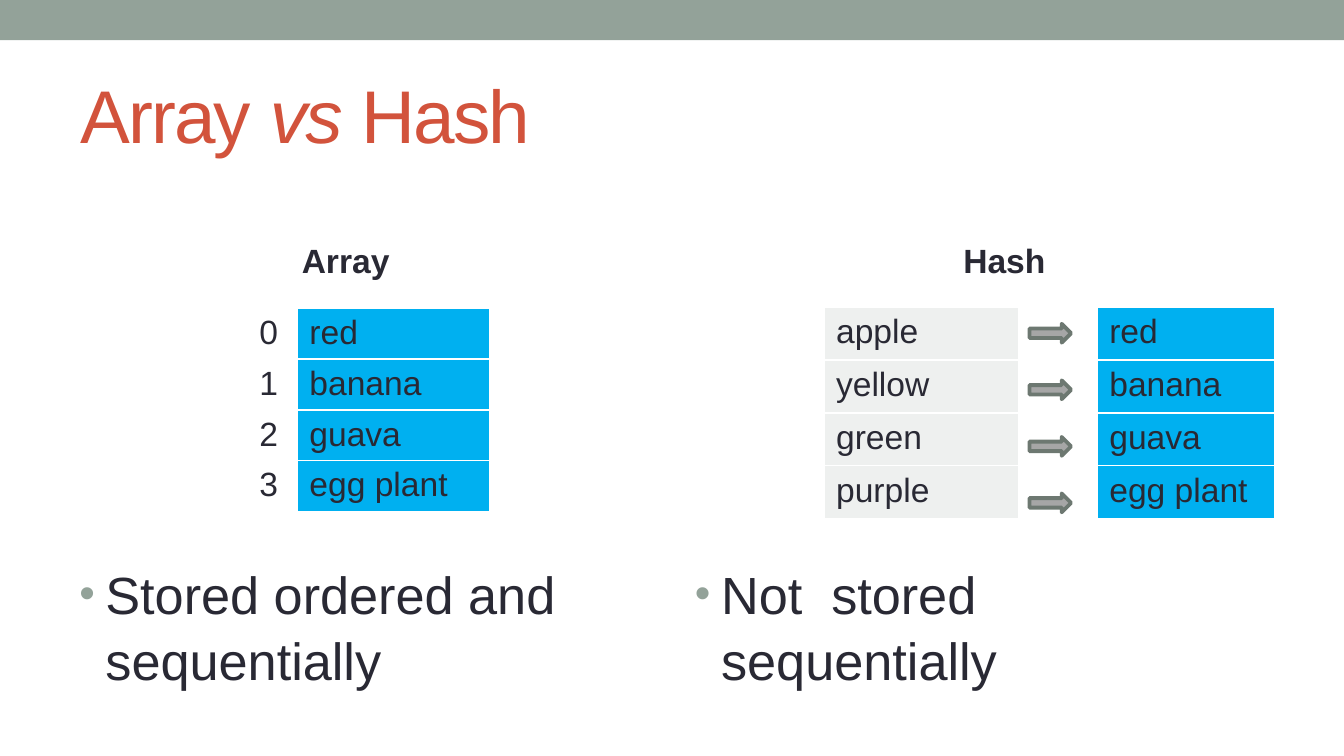
"""Build the slide comparing an array with a hash."""
from lxml import etree
from pptx import Presentation
from pptx.dml.color import RGBColor
from pptx.enum.shapes import MSO_SHAPE
from pptx.enum.text import MSO_ANCHOR, MSO_AUTO_SIZE, PP_ALIGN
from pptx.oxml.ns import qn
from pptx.util import Pt

RECTANGLE, RIGHT_ARROW = MSO_SHAPE.RECTANGLE, MSO_SHAPE.RIGHT_ARROW
MIDDLE, TOP = MSO_ANCHOR.MIDDLE, MSO_ANCHOR.TOP
LEFT = PP_ALIGN.LEFT
NO_FIT = MSO_AUTO_SIZE.NONE

COLORS = {
    "band": "93A299", "title": "D2533C", "text": "292934", "value": "00B0F0",
    "key": "EEF0EF", "arrow": "A6A6A6", "arrow_line": "6D7871", "border": "FFFFFF",
}
FONT = "Arial"
TITLE = [("Array ", False), ("vs", True), (" Hash", False)]
HEADINGS = "Array\tHash"
HEADING_TAB = 354.4
VALUES = ["red", "banana", "guava", "egg plant"]
KEYS = ["apple", "yellow", "green", "purple"]
TABLES = [
    {"at": (441.4, 164.4), "widths": (104.4, 42, 95.4), "fills": ("key", None, "value"),
     "rows": [(key, "", value) for key, value in zip(KEYS, VALUES)]},
    {"at": (132.5, 165.2), "widths": (26.8, 103), "fills": (None, "value"),
     "rows": [(str(index), value) for index, value in enumerate(VALUES)]},
]
ROW_HEIGHT = 27.2
NOTES = [(36, "Stored ordered and sequentially"), (365.8, "Not  stored sequentially")]
ARROW = {"left": 551.5, "top": 173.5, "width": 22.3, "height": 10.1, "step": 30.3}


def rgb(name):
    return RGBColor.from_string(COLORS[name])


def apply(target, formats):
    for name, value in formats.items():
        setattr(target, name, value)


def add_run(paragraph, text, size, color="text", **formats):
    run = paragraph.add_run()
    run.text = text
    apply(run.font, {"name": FONT, "size": Pt(size), **formats})
    run.font.color.rgb = rgb(color)
    return run


def format_frame(frame, left, top, right=7.2, bottom=3.6, anchor=TOP):
    apply(frame, {
        "word_wrap": True, "auto_size": NO_FIT, "vertical_anchor": anchor,
        "margin_left": Pt(left), "margin_top": Pt(top),
        "margin_right": Pt(right), "margin_bottom": Pt(bottom),
    })


def add_shape(slide, kind, box, fill, line=None):
    shape = slide.shapes.add_shape(kind, *map(Pt, box))
    shape.shadow.inherit = False
    shape.fill.solid()
    shape.fill.fore_color.rgb = rgb(fill)
    if line:
        shape.line.color.rgb = rgb(line)
        shape.line.width = Pt(2.08)
    else:
        shape.line.fill.background()


def add_title(slide):
    title = slide.shapes.title
    apply(title, {"left": Pt(36), "top": Pt(31.7), "width": Pt(648), "height": Pt(58.3)})
    format_frame(title.text_frame, 7, 3.6, anchor=MIDDLE)
    paragraph = title.text_frame.paragraphs[0]
    paragraph.alignment = LEFT
    for text, italic in TITLE:
        run = add_run(paragraph, text, 40, "title", italic=italic)
        run.font._element.set("spc", "-100")


def add_note(slide, left, text):
    frame = slide.shapes.add_textbox(Pt(left), Pt(98.6), Pt(318.2), Pt(278.6)).text_frame
    format_frame(frame, 6.5, 201)
    paragraph = frame.paragraphs[0]
    paragraph.line_spacing = 1.05
    add_run(paragraph, text, 28)
    properties = paragraph._p.get_or_add_pPr()
    properties.set("marL", str(Pt(14)))
    properties.set("indent", str(-Pt(14)))
    bullet_color = etree.SubElement(properties, qn("a:buClr"))
    etree.SubElement(bullet_color, qn("a:srgbClr"), val=COLORS["band"])
    etree.SubElement(properties, qn("a:buSzPct"), val="85000")
    etree.SubElement(properties, qn("a:buFont"), typeface=FONT)
    etree.SubElement(properties, qn("a:buChar"), char="•")


def format_cell(cell, text, fill):
    apply(cell, {
        "margin_left": Pt(6.5), "margin_right": Pt(6.5),
        "margin_top": Pt(3.2), "margin_bottom": Pt(3.2),
    })
    properties = cell._tc.get_or_add_tcPr()
    for side in ("a:lnL", "a:lnR", "a:lnT", "a:lnB"):
        border = etree.SubElement(properties, qn(side), w=str(Pt(1)))
        paint = etree.SubElement(border, qn("a:solidFill"))
        etree.SubElement(paint, qn("a:srgbClr"), val=COLORS["border"])
    if fill:
        cell.fill.solid()
        cell.fill.fore_color.rgb = rgb(fill)
    else:
        cell.fill.background()
    paragraph = cell.text_frame.paragraphs[0]
    paragraph.font.size = Pt(18)
    if text:
        add_run(paragraph, text, 18)


def add_table(slide, at, widths, fills, rows):
    size = (sum(widths), ROW_HEIGHT * len(rows))
    table = slide.shapes.add_table(len(rows), len(widths), *map(Pt, at + size)).table
    apply(table, {"first_row": False, "horz_banding": False})
    for column, width in zip(table.columns, widths):
        column.width = Pt(width)
    for row, texts in zip(table.rows, rows):
        row.height = Pt(ROW_HEIGHT)
        for cell, text, fill in zip(row.cells, texts, fills):
            format_cell(cell, text, fill)


def add_headings(slide):
    frame = slide.shapes.add_textbox(Pt(145.4), Pt(123.1), Pt(525.6), Pt(28.8)).text_frame
    format_frame(frame, 16.3, 5.2, bottom=2)
    paragraph = frame.paragraphs[0]
    add_run(paragraph, HEADINGS, 18, bold=True)
    tabs = etree.SubElement(paragraph._p.get_or_add_pPr(), qn("a:tabLst"))
    etree.SubElement(tabs, qn("a:tab"), pos=str(Pt(HEADING_TAB)), algn="l")


def main():
    deck = Presentation()
    apply(deck, {"slide_width": Pt(720), "slide_height": Pt(405)})
    slide = deck.slides.add_slide(deck.slide_layouts[5])
    add_shape(slide, RECTANGLE, (0, 0, 720, 21.6), "band")
    add_title(slide)
    for left, text in NOTES:
        add_note(slide, left, text)
    for table in TABLES:
        add_table(slide, **table)
    for index in range(len(KEYS)):
        top = ARROW["top"] + index * ARROW["step"]
        box = (ARROW["left"], top, ARROW["width"], ARROW["height"])
        add_shape(slide, RIGHT_ARROW, box, "arrow", "arrow_line")
    add_headings(slide)
    deck.save("out.pptx")


if __name__ == "__main__":
    main()
